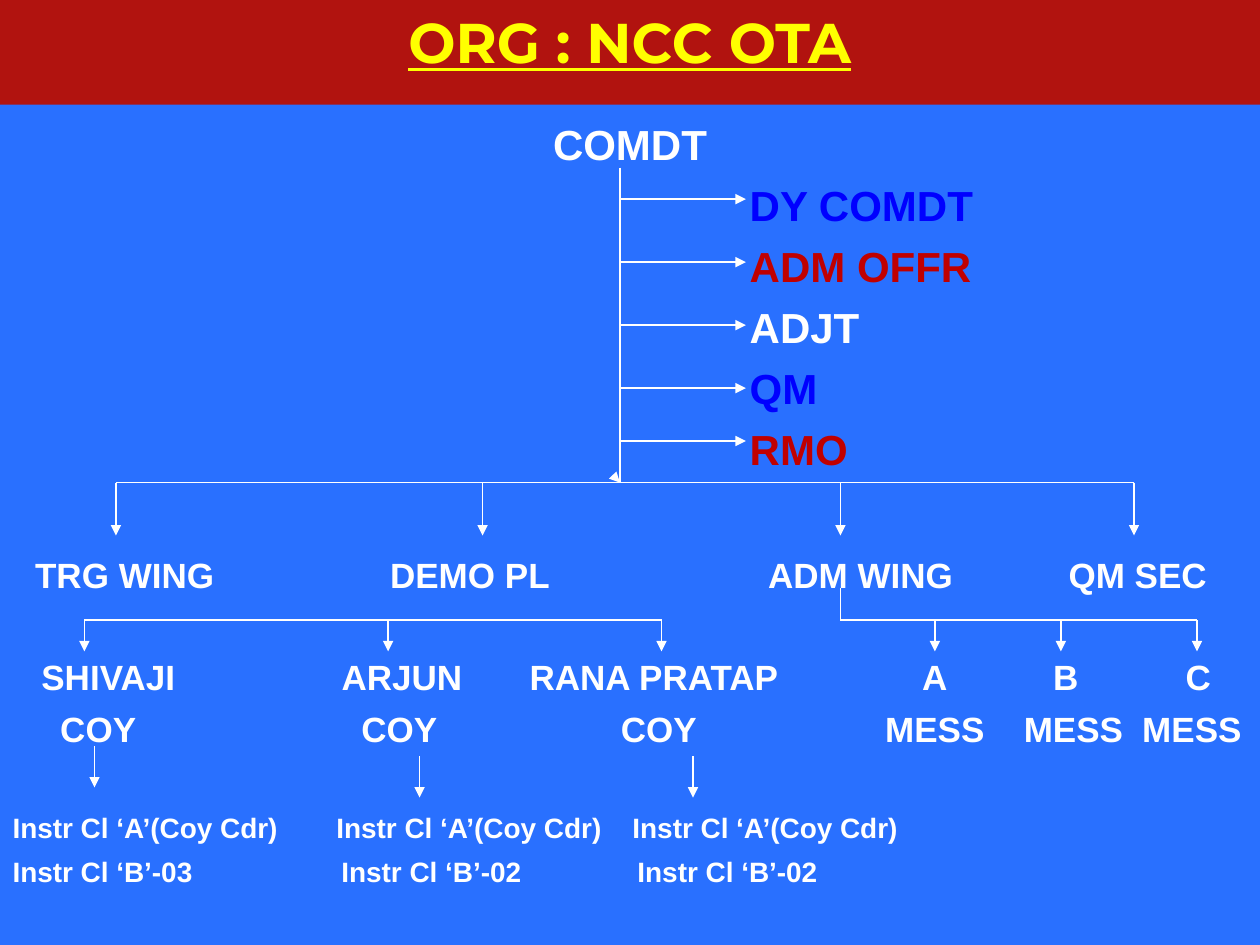
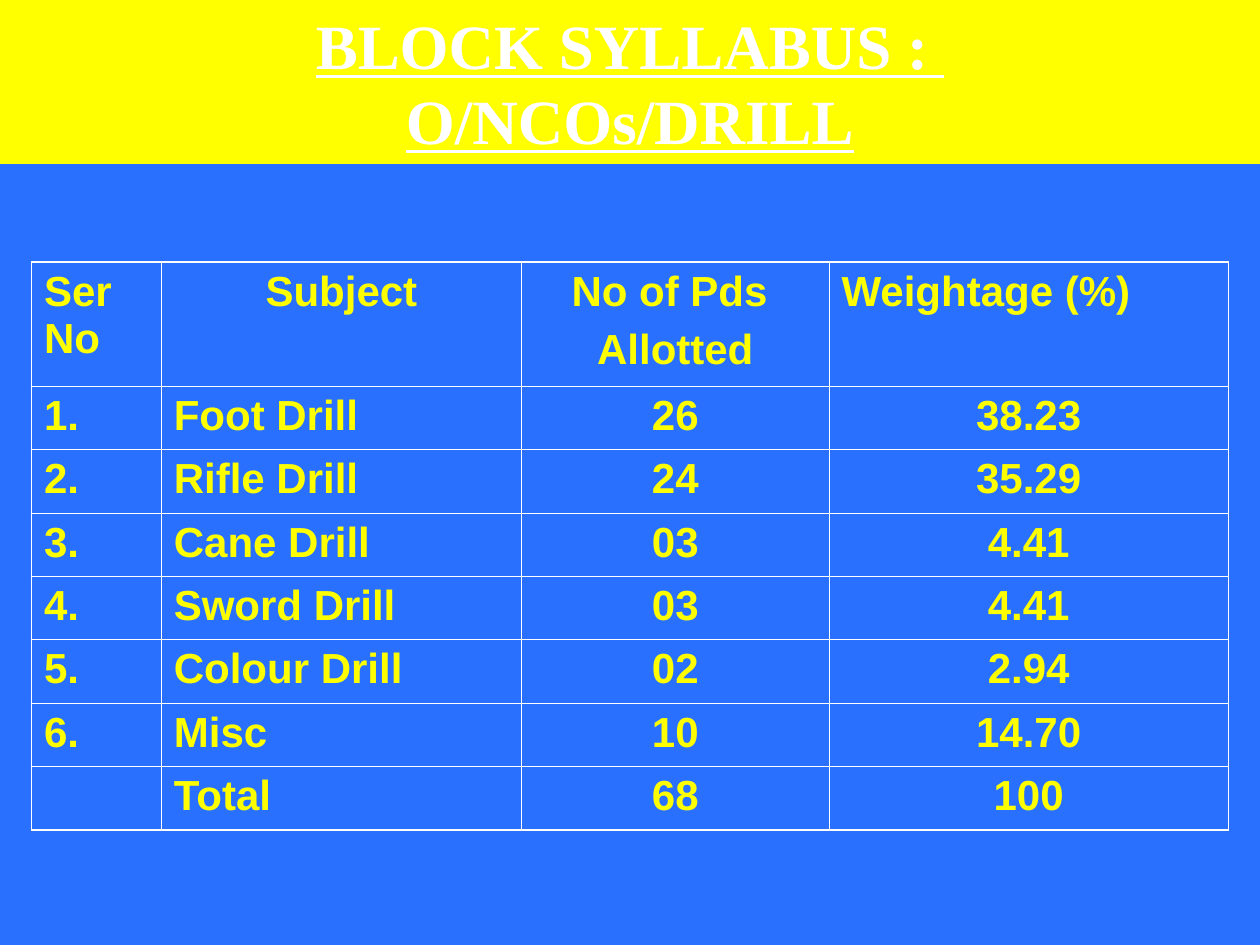
"""Build two slides: an academy organisation tree and a drill syllabus table."""
import pptx
import pptx.util
import pptx.dml.color
import pptx.enum.shapes
import pptx.enum.text
import pptx.oxml.ns
import lxml.etree

Inches = pptx.util.Inches
Pt = pptx.util.Pt
ALIGN = pptx.enum.text.PP_ALIGN
HUES = {"sky": "2970FF", "band": "B1130F", "gold": "FFFF00",
        "white": "FFFFFF", "blue": "0000FF", "red": "C00000"}
STAFF = [("DY COMDT", "blue", 1.58), ("ADM OFFR", "red", 2.08),
         ("ADJT", "white", 2.58), ("QM", "blue", 3.08), ("RMO", "red", 3.5)]
CHIEF = "Instr Cl ‘A’(Coy Cdr)"
UNITS = [
    (4.41, [("TRG WING", 0.99), ("DEMO PL", 3.73),
            ("ADM WING", 6.83), ("QM SEC", 9.03)]),
    (5.22, [("SHIVAJI", 0.86), ("ARJUN", 3.19), ("RANA PRATAP", 5.19),
            ("A", 7.42), ("B", 8.46), ("C", 9.51)]),
    (5.63, [("COY", 0.78), ("COY", 3.17), ("COY", 5.23),
            ("MESS", 7.42), ("MESS", 8.52), ("MESS", 9.46)]),
]
CREWS = [
    (6.44, [(CHIEF, 0.1), (CHIEF, 2.67), (CHIEF, 5.02)]),
    (6.79, [("Instr Cl ‘B’-03", 0.1), ("Instr Cl ‘B’-02", 2.71),
            ("Instr Cl ‘B’-02", 5.06)]),
]
TABLE = [
    ("Ser No", "Subject", "No of Pds \nAllotted", "Weightage (%)"),
    ("1.", "Foot Drill", "26", "38.23"),
    ("2.", "Rifle Drill", "24", "35.29"),
    ("3.", "Cane Drill", "03", "4.41"),
    ("4.", "Sword Drill", "03", "4.41"),
    ("5.", "Colour Drill", "02", "2.94"),
    ("6.", "Misc", "10", "14.70"),
    ("", "Total", "68", "100"),
]
WIDTHS = [1.03, 2.86, 2.44, 3.17]


def tint(name):
    return pptx.dml.color.RGBColor.from_string(HUES[name])


def node(root, tag, **attrs):
    return lxml.etree.SubElement(root, pptx.oxml.ns.qn(tag), attrs)


def write(frame, text, size=24, hue="white", face="Arial", align=ALIGN.LEFT,
          gap=0, line=None, under=None, indent=0):
    """Add text to a frame, one paragraph for each line."""
    for part in text.split("\n"):
        fresh = not frame.paragraphs[0].runs
        para = frame.paragraphs[0] if fresh else frame.add_paragraph()
        if indent:
            para._p.get_or_add_pPr().set("marL", str(Inches(indent)))
        para.alignment = align
        para.space_before = Pt(0 if fresh else gap)
        if line:
            para.line_spacing = Pt(line)
        run = para.add_run()
        run.text = part
        font = run.font
        font.size, font.name, font.bold, font.underline = Pt(size), face, True, under
        font.color.rgb = tint(hue)


def place(shape, left, top, width, height):
    shape.left, shape.top = Inches(left), Inches(top)
    shape.width, shape.height = Inches(width), Inches(height)
    shape.text_frame.auto_size = pptx.enum.text.MSO_AUTO_SIZE.NONE
    shape.text_frame.word_wrap = True


def strip(frame):
    """Anchor a frame at the top and take its margins away."""
    frame.margin_left = frame.margin_right = 0
    frame.margin_top = frame.margin_bottom = 0
    frame.vertical_anchor = pptx.enum.text.MSO_ANCHOR.TOP


def banner(slide, text, top, height, fill, **form):
    """Turn the title placeholder into a full-width band."""
    title = slide.shapes.title
    place(title, 0, top, 10, height)
    title.fill.solid()
    title.fill.fore_color.rgb = tint(fill)
    title.text_frame.vertical_anchor = pptx.enum.text.MSO_ANCHOR.MIDDLE
    write(title.text_frame, text, align=ALIGN.CENTER, under=True, **form)


def label(slide, text, left, top, width, size, align):
    """Add a one-line text box."""
    box = slide.shapes.add_textbox(0, 0, 0, 0)
    place(box, left, top, width, 0.32)
    strip(box.text_frame)
    write(box.text_frame, text, size=size, align=align, line=size * 1.15)


def link(slide, x1, y1, x2, y2, arrow=True, width=0.75):
    """Draw a straight white line, with an arrowhead at its end if asked."""
    line = slide.shapes.add_connector(
        pptx.enum.shapes.MSO_CONNECTOR.STRAIGHT,
        Inches(x1), Inches(y1), Inches(x2), Inches(y2))
    line.line.color.rgb = tint("white")
    line.line.width = Pt(width)
    if arrow:
        node(line.line._get_or_add_ln(), "a:tailEnd", type="triangle")
    node(line._element.spPr, "a:effectLst")


def fork(slide, y, end, drops):
    """Drop arrows from one level to the next."""
    for x in drops:
        link(slide, x, y, x, end)


def ranks(slide):
    """Write the head and staff in the body placeholder, the units in boxes."""
    body = slide.placeholders[1]
    place(body, 0, 0.96, 10, 2.85)
    strip(body.text_frame)
    write(body.text_frame, "COMDT", align=ALIGN.CENTER, line=27.6)
    for post, hue, _ in STAFF:
        write(body.text_frame, post, hue=hue, gap=7.25, line=27.6, indent=5.95)
    for top, units in UNITS:
        for word, mid in units:
            width = 0.2 * len(word) + 0.1
            label(slide, word, mid - width / 2, top, width, 20, ALIGN.CENTER)
    for top, crews in CREWS:
        for word, left in crews:
            label(slide, word, left, top, 2.3, 16, ALIGN.LEFT)


def tree(slide):
    """Draw the lines of the tree."""
    trunk = 4.92
    link(slide, trunk, 1.33, trunk, 3.83, arrow=False)
    link(slide, 0.92, 3.83, 9, 3.83, arrow=False)
    for _, _, y in STAFF:
        link(slide, trunk, y, trunk + 1, y)
    fork(slide, 3.83, 4.25, [0.92, 3.83, 6.67, 9])
    link(slide, trunk - 0.01, 3.82, trunk, 3.83)
    link(slide, 0.67, 4.92, 5.25, 4.92, arrow=False)
    link(slide, 6.67, 4.92, 9.5, 4.92, arrow=False)
    link(slide, 6.67, 4.92, 6.67, 4.67, arrow=False)
    fork(slide, 4.92, 5.17, [3.08, 5.25, 7.42, 8.42, 9.5])
    for x, y, drop in [(0.67, 4.92, 0.25), (0.75, 5.92, 0.33),
                       (3.33, 6, 0.33), (5.5, 6, 0.33)]:
        link(slide, x, y, x, y + drop, width=1)


def edge(cell, outer):
    """Rule a cell, thicker on the outer sides of the table."""
    props = cell._tc.get_or_add_tcPr()
    for side in "LRTB":
        width = Pt(1.08 if side in outer else 0.45)
        rule = node(props, "a:ln" + side, w=str(width))
        node(node(rule, "a:solidFill"), "a:srgbClr", val=HUES["white"])
    cell.fill.background()


def grid(slide):
    """Build the syllabus table."""
    deep, wide = len(TABLE), len(WIDTHS)
    table = slide.shapes.add_table(deep, wide, Inches(0.25), Inches(2.08),
                                   Inches(9.5), Inches(4.5)).table
    table.first_row = table.horz_banding = False
    for col, width in zip(table.columns, WIDTHS):
        col.width = Inches(width)
    for r, words in enumerate(TABLE):
        table.rows[r].height = Pt(36.2 if r else 71)
        for c, word in enumerate(words):
            cell = table.cell(r, c)
            mid = c == 2 or (c == 1 and r == 0) or (c == 3 and r > 0)
            if word:
                write(cell.text_frame, word, hue="gold", gap=6.5,
                      align=ALIGN.CENTER if mid else ALIGN.LEFT)
            sides = {"L": c == 0, "R": c == wide - 1, "T": r == 0, "B": r == deep - 1}
            edge(cell, [side for side, outer in sides.items() if outer])


def main():
    deck = pptx.Presentation()
    deck.slide_width, deck.slide_height = Inches(10), Inches(7.5)
    back = deck.slide_master.background.fill
    back.solid()
    back.fore_color.rgb = tint("sky")

    chart = deck.slides.add_slide(deck.slide_layouts[0])
    banner(chart, "ORG : NCC OTA", -0.17, 1, "band",
           size=32, hue="gold", face="Montserrat")
    ranks(chart)
    tree(chart)

    block = deck.slides.add_slide(deck.slide_layouts[5])
    banner(block, "BLOCK SYLLABUS : \nO/NCOs/DRILL", 0, 1.3, "gold",
           size=36, face="Times New Roman", line=43)
    grid(block)
    deck.save("out.pptx")


if __name__ == "__main__":
    main()
